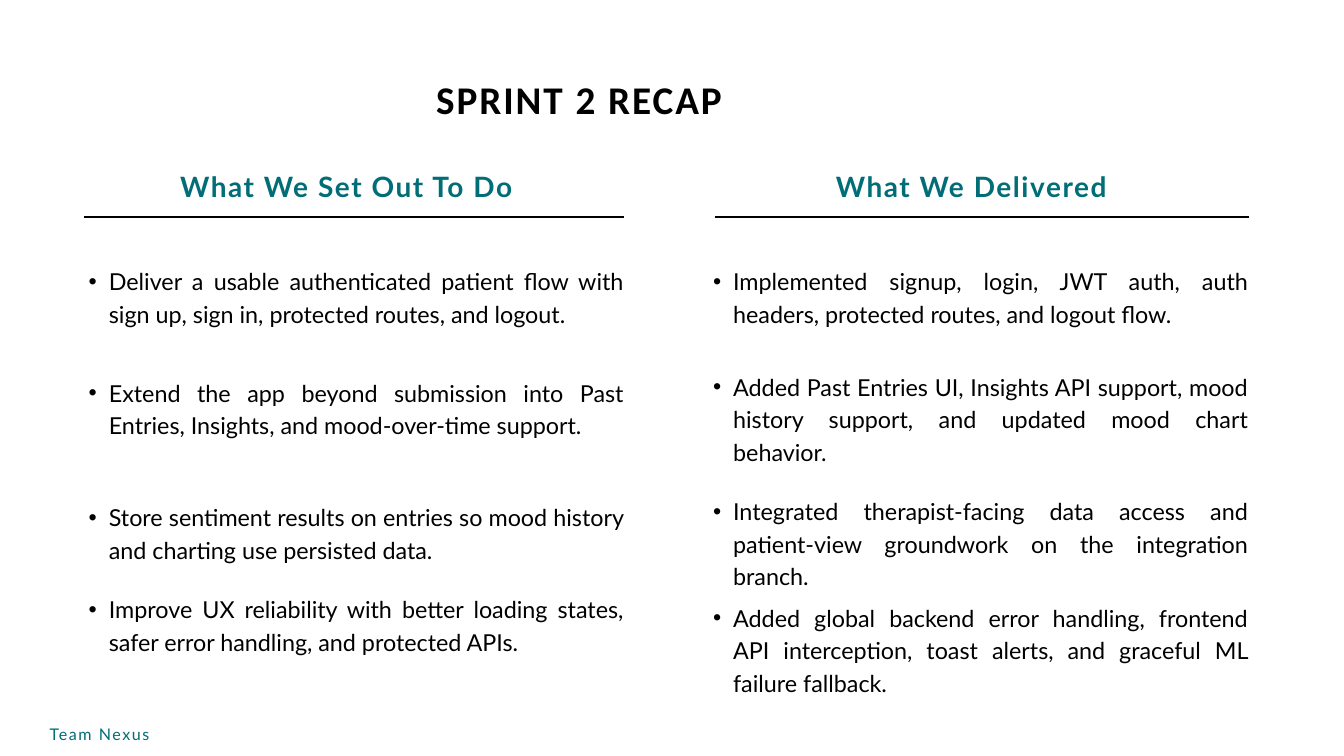
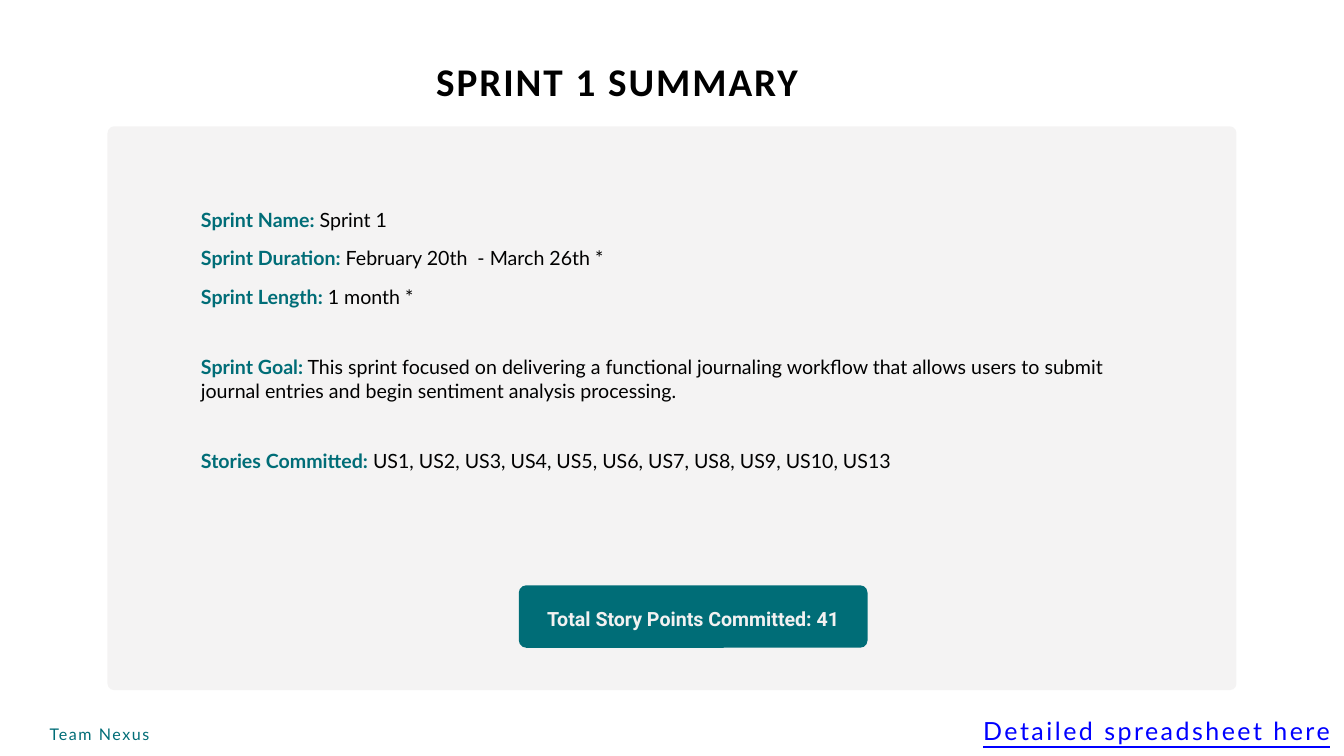
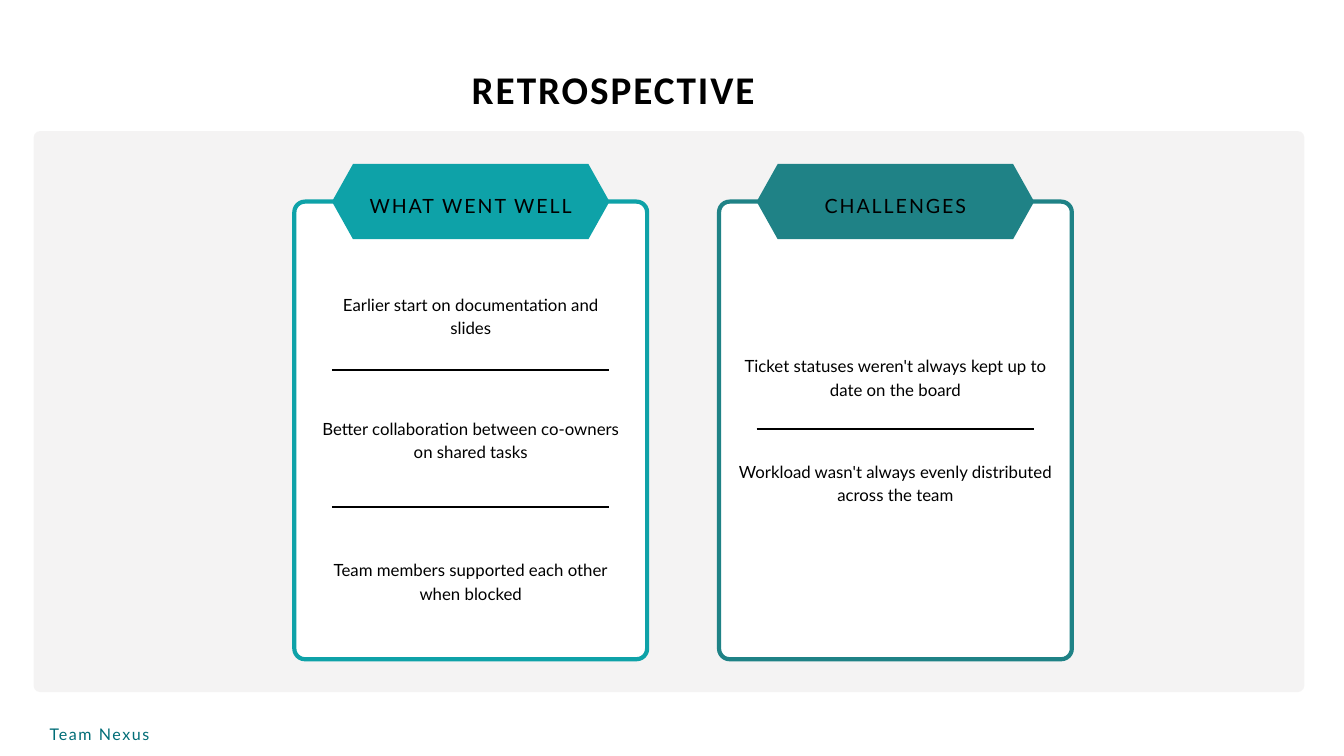
from lxml import etree
from pptx import Presentation
from pptx.dml.color import RGBColor
from pptx.enum.shapes import MSO_CONNECTOR, MSO_SHAPE
from pptx.enum.text import MSO_ANCHOR, MSO_AUTO_SIZE, PP_ALIGN
from pptx.oxml.ns import qn
from pptx.util import Inches, Pt

LEFT, MID, FULL = PP_ALIGN.LEFT, PP_ALIGN.CENTER, PP_ALIGN.JUSTIFY
TOP, MIDDLE = MSO_ANCHOR.TOP, MSO_ANCHOR.MIDDLE
ROUND, HEX = MSO_SHAPE.ROUNDED_RECTANGLE, MSO_SHAPE.HEXAGON
STRAIGHT = MSO_CONNECTOR.STRAIGHT

BLACK, WHITE, TEAL, BLUE = "000000", "FFFFFF", "006D77", "0000FF"
GREY = "F2F1F1"

# Content: recap columns hold head, its left, rule ends, list left,
# and items as (space before in points, text)
RECAP = [
    ("What We Set Out To Do", 2.14, (1.25, 9.28), 1.03, [
        (0, "Deliver a usable authenticated patient flow with sign up, "
            "sign in, protected routes, and logout."),
        (49.5, "Extend the app beyond submission into Past Entries, "
               "Insights, and mood-over-time support."),
        (63, "Store sentiment results on entries so mood history and "
             "charting use persisted data."),
        (28.5, "Improve UX reliability with better loading states, safer "
               "error handling, and protected APIs."),
    ]),
    ("What We Delivered", 11.44, (10.64, 18.58), 10.32, [
        (0, "Implemented signup, login, JWT auth, auth headers, protected "
            "routes, and logout flow."),
        (43, "Added Past Entries UI, Insights API support, mood history "
             "support, and updated mood chart behavior."),
        (28, "Integrated therapist-facing data access and patient-view "
             "groundwork on the integration branch."),
        (9.5, "Added global backend error handling, frontend API "
              "interception, toast alerts, and graceful ML failure fallback."),
    ]),
]

# Label, value, line height, space before
FACTS = [
    ("Sprint Name:", " Sprint 1", 41.2, 0),
    ("Sprint Duration:", " February 20th  - March 26th *", 41.2, 0),
    ("Sprint Length:", " 1 month *", 41.2, 0),
    ("Sprint Goal:", " This sprint focused on delivering a functional "
     "journaling workflow that allows users to submit journal entries and "
     "begin sentiment analysis processing.", 25.2, 50.4),
    ("Stories Committed:", " US1, US2, US3, US4, US5, US6, US7, US8, US9, "
     "US10, US13", 25.2, 50.4),
]

# Head, colour, card left, rule heights, notes as (top, lines)
CARDS = [
    ("WHAT WENT WELL", "0EA2A8", 4.38, [5.5, 7.54], [
        (4.33, ["Earlier start on documentation and", "slides"]),
        (6.18, ["Better collaboration between co-owners",
                "on shared tasks"]),
        (8.28, ["Team members supported each other", "when blocked"]),
    ]),
    ("CHALLENGES", "1F8286", 10.7, [6.39], [
        (5.25, ["Ticket statuses weren't always kept up to",
                "date on the board"]),
        (6.82, ["Workload wasn't always evenly distributed",
                "across the team"]),
    ]),
]


def color(code):
    return RGBColor.from_string(code)


def place(shape, x, y, w, h):
    shape.left, shape.top = Inches(x), Inches(y)
    shape.width, shape.height = Inches(w), Inches(h)


def frame(shape, anchor=TOP):
    tf = shape.text_frame
    tf.word_wrap = True
    tf.auto_size = MSO_AUTO_SIZE.NONE
    tf.vertical_anchor = anchor
    tf.margin_left = tf.margin_right = tf.margin_top = tf.margin_bottom = 0
    return tf


def style(para, size, line, ink=None, bold=None, font="Lato", align=LEFT,
          track=0, before=0, dot=False):
    para.alignment = align
    para.line_spacing, para.space_before = Pt(line), Pt(before)
    props = para._p.get_or_add_pPr()
    props.set("marL", str(Inches(0.59 if dot else 0)))
    props.set("indent", str(Inches(-0.3 if dot else 0)))
    if dot:
        etree.SubElement(props, qn("a:buFont")).set("typeface", "Arial")
        etree.SubElement(props, qn("a:buChar")).set("char", "•")
    else:
        etree.SubElement(props, qn("a:buNone"))
    face = para.font
    face.name, face.size = font, Pt(size)
    if bold is not None:
        face.bold = bold
    if ink:
        face.color.rgb = color(ink)
    if track:
        face._rPr.set("spc", str(round(track * 100)))


def write(shape, lines, anchor=TOP, **look):
    tf = frame(shape, anchor)
    for i, text in enumerate(lines):
        para = tf.paragraphs[0] if i == 0 else tf.add_paragraph()
        para.text = text
        style(para, **look)
    return tf


def label(slide, box, lines, **look):
    shape = slide.shapes.add_textbox(*map(Inches, box))
    return write(shape, lines, **look)


def block(slide, kind, box, fill, adj, line=None, alpha=None):
    shape = slide.shapes.add_shape(kind, *map(Inches, box))
    shape.shadow.inherit = False
    shape.adjustments[0] = adj
    shape.fill.solid()
    shape.fill.fore_color.rgb = color(fill)
    if alpha:
        tone = shape.fill._xPr.find(".//" + qn("a:srgbClr"))
        etree.SubElement(tone, qn("a:alpha")).set("val", str(alpha * 1000))
    if line:
        shape.line.color.rgb = color(line)
        shape.line.width = Pt(4.5)
    else:
        shape.line.fill.background()
    return shape


def panel(slide, *box):
    block(slide, ROUND, box, GREY, 0.1 / box[3], alpha=80)


def rule(slide, x1, x2, y, width):
    line = slide.shapes.add_connector(
        STRAIGHT, Inches(x1), Inches(y), Inches(x2), Inches(y))
    line.line.color.rgb = color(BLACK)
    line.line.width = Pt(width)
    etree.SubElement(line._element.spPr, qn("a:effectLst"))


def start(deck, layout, title, x, y):
    """Add a slide with the shared title and footer."""
    slide = deck.slides.add_slide(deck.slide_layouts[layout])
    head = slide.shapes.title
    place(head, x, y, 8, 0.81)
    write(head, [title], size=42, line=58.8, ink=BLACK, bold=True,
          font="Calibri", track=2.1)
    label(slide, (0.74, 10.73, 1.61, 0.32), ["Team Nexus"], size=17.2,
          line=24.1, ink=TEAL, track=1.7)
    return slide


def recap(deck):
    slide = start(deck, 4, "SPRINT 2 RECAP", 6.49, 1.01)
    for i, (name, x, ends, left, items) in enumerate(RECAP):
        head = slide.placeholders[2 * i + 1]
        place(head, x, 2.46, 6.03, 0.55)
        write(head, [name], size=30, line=40.2, ink=TEAL, bold=True,
              align=MID, track=1.7)
        rule(slide, *ends, 3.23, 1.5)
        body = slide.placeholders[2 * i + 2]
        place(body, left, 3.91, 8.25, 6.8)
        tf = write(body, [text for _, text in items], size=25, line=35,
                   ink=BLACK, align=FULL, dot=True)
        for para, (gap, _) in zip(tf.paragraphs, items):
            para.space_before = Pt(gap)


def summary(deck):
    slide = start(deck, 1, "SPRINT 1 SUMMARY", 6.49, 0.74)
    panel(slide, 1.6, 1.88, 16.8, 8.39)
    # Facts, lifted above the panel
    body = slide.placeholders[1]
    place(body, 2.99, 2.87, 14.01, 5.54)
    slide.shapes._spTree.append(body._element)
    tf = frame(body)
    for i, (name, value, line, gap) in enumerate(FACTS):
        para = tf.paragraphs[0] if i == 0 else tf.add_paragraph()
        style(para, 21, line, before=gap)
        for text, ink, bold in ((name, TEAL, True), (value, BLACK, False)):
            run = para.add_run()
            run.text = text
            run.font.bold = bold
            run.font.color.rgb = color(ink)
    # Total and link line
    total = block(slide, ROUND, (7.72, 8.71, 5.19, 0.93), TEAL, 0.12)
    write(total, ["Total Story Points Committed: 41"], MIDDLE, size=21,
          line=29.4, ink=GREY, bold=True, font="Roboto", align=MID)
    link = label(slide, (14.61, 10.5, 5.21, 0.56),
                 ["Detailed spreadsheet here"], size=26.8, line=42.9,
                 ink=BLUE, align=MID, track=2.7)
    link.paragraphs[0].font.underline = True


def retro(deck):
    slide = start(deck, 5, "RETROSPECTIVE", 7.02, 0.85)
    panel(slide, 0.5, 1.95, 18.91, 8.35)
    wide, tab, note = 5.25, 4.13, 4.8
    for name, ink, x, rules, notes in CARDS:
        mid = x + wide / 2
        block(slide, ROUND, (x, 3, wide, 6.81), WHITE, 0.03, line=ink)
        head = block(slide, HEX, (mid - tab / 2, 2.44, tab, 1.12), ink, 0.28)
        write(head, [name], MIDDLE, size=21, line=33.6, ink=BLACK,
              align=MID, track=2.1)
        for y in rules:
            rule(slide, mid - tab / 2, mid + tab / 2, y, 2)
        for y, lines in notes:
            label(slide, (mid - note / 2, y, note, 0.69), lines, size=18,
                  line=25.2, ink=BLACK, align=MID)


def main():
    deck = Presentation()
    deck.slide_width, deck.slide_height = Inches(20), Inches(11.25)
    recap(deck)
    summary(deck)
    retro(deck)
    deck.save("out.pptx")


if __name__ == "__main__":
    main()
